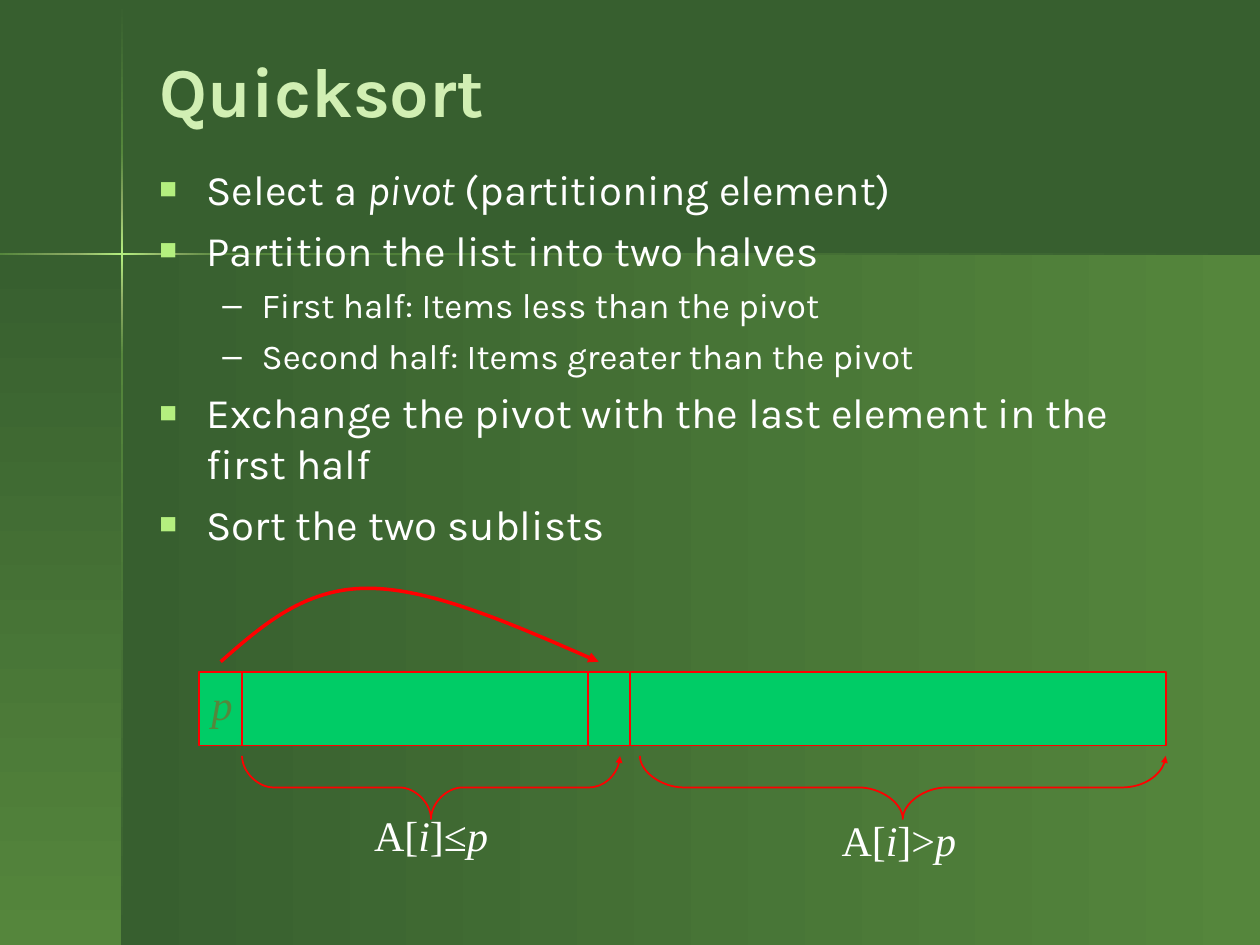
from itertools import pairwise

from lxml.etree import SubElement
from pptx import Presentation
from pptx.dml.color import RGBColor
from pptx.enum.shapes import MSO_CONNECTOR, MSO_SHAPE
from pptx.enum.text import MSO_ANCHOR, MSO_AUTO_SIZE, PP_ALIGN
from pptx.oxml.ns import qn
from pptx.util import Cm, Pt

TITLE = "Quicksort"
BULLETS = [
    (0, "Select a *pivot* (partitioning element)"),
    (0, "Partition the list into two halves"),
    (1, "First half: Items less than the pivot"),
    (1, "Second half: Items greater than the pivot"),
    (0, "Exchange the pivot with the last element in the first half"),
    (0, "Sort the two sublists"),
]
BRACES = [
    (4.88, 12.5, "A[*i*]≤*p*", 8.69, 16.2),
    (12.9, 23.5, "A[*i*]>*p*", 18.12, 16.3),
]
PIVOT = "*p*"

THEME = {
    "sans": "Karla", "serif": "Times New Roman",
    "dark": "375F2F", "mid": "55863C", "glow": "8EAC66", "bright": "B4EF7F",
    "title": "D1EFB3", "text": "FFFFFF", "bar": "00CC66", "line": "FF0000",
    "title_size": 40, "sizes": (24, 20), "label_size": 24,
}
LEVELS = [
    {"char": "■", "color": "bright", "pct": 70, "left": 0.95, "hang": 0.95, "before": 6},
    {"char": "–", "color": "text", "pct": 100, "left": 2.06, "hang": 0.79, "before": 5},
]

WIDTH, HEIGHT = 25.4, 19.05
CROSS_X, CROSS_Y, RAY = 2.46, 5.13, 0.04
RAY_COLORS = [("dark", "mid"), ("mid", "glow"), ("glow", "bright", "glow"),
              ("glow", "mid"), ("mid", "dark")]
RAY_YS = [0.03, 3.07, 4.19, 6.05, 7.16, HEIGHT]
RAY_XS = [0, 1.53, 3.38, 4.5, WIDTH]
BAR = (4.02, 13.55, 19.48, 1.48)
DIVIDERS = [4.88, 11.86, 12.7]
BRACE_TOP, BRACE_DEPTH = 15.24, 1.27
ARC = [(4.45, 13.34), (5.29, 12.6), (6.14, 11.86), (7.41, 11.86),
       (8.68, 11.86), (10.37, 12.6), (12.07, 13.34)]


def rgb(name):
    return RGBColor.from_string(THEME[name])


def write(p, text, font="sans", size=24, color="text", bold=False, align=None):
    p.alignment = align
    for i, part in enumerate(text.split("*")):
        if part:
            r = p.add_run()
            r.text = part
            r.font.name, r.font.size = THEME[font], Pt(size)
            r.font.bold, r.font.italic = bold, i % 2 == 1
            r.font.color.rgb = rgb(color)


def add_bullet(p, char, color, pct, left, hang, before):
    p.space_before = Pt(before)
    pPr = p._p.get_or_add_pPr()
    pPr.set("marL", str(Cm(left)))
    pPr.set("indent", str(-Cm(hang)))
    SubElement(SubElement(pPr, qn("a:buClr")), qn("a:srgbClr"), val=THEME[color])
    SubElement(pPr, qn("a:buSzPct"), val=str(pct * 1000))
    SubElement(pPr, qn("a:buChar"), char=char)


def add_rect(s, x, y, w, h):
    sp = s.shapes.add_shape(MSO_SHAPE.RECTANGLE, Cm(x), Cm(y), Cm(w), Cm(h))
    sp.shadow.inherit = False
    return sp


def add_gradient(s, master, box, colors, angle):
    sp = add_rect(s, *box)
    sp.line.fill.background()
    sp.fill.gradient()
    grad = sp._element.spPr.find(qn("a:gradFill"))
    stops = grad.find(qn("a:gsLst"))
    for gs in list(stops):
        stops.remove(gs)
    for i, name in enumerate(colors):
        gs = SubElement(stops, qn("a:gs"), pos=str(100000 * i // (len(colors) - 1)))
        SubElement(gs, qn("a:srgbClr"), val=THEME[name])
    grad.find(qn("a:lin")).set("ang", str(angle * 60000))
    master.shapes._spTree.append(sp._element)


def add_background(s, master):
    master.background.fill.solid()
    master.background.fill.fore_color.rgb = rgb("dark")
    below = HEIGHT - CROSS_Y
    add_gradient(s, master, (CROSS_X, CROSS_Y, WIDTH - CROSS_X, below), ("dark", "mid"), 0)
    add_gradient(s, master, (0, CROSS_Y, CROSS_X, below), ("dark", "mid"), 90)
    for (a, b), colors in zip(pairwise(RAY_YS), RAY_COLORS):
        add_gradient(s, master, (CROSS_X - RAY / 2, a, RAY, b - a), colors, 90)
    for (a, b), colors in zip(pairwise(RAY_XS), RAY_COLORS[1:]):
        add_gradient(s, master, (a, CROSS_Y - RAY / 2, b - a, RAY), colors, 0)


def add_curve_arrow(s, points, width, head="med"):
    pts = [(Cm(x), Cm(y)) for x, y in points]
    builder = s.shapes.build_freeform(*pts[0])
    builder.add_line_segments(pts[1:], close=False)
    sp = builder.convert_to_shape()
    sp.shadow.inherit = False
    sp.fill.background()
    sp.line.color.rgb, sp.line.width = rgb("line"), Pt(width)
    SubElement(sp._element.spPr.find(qn("a:ln")), qn("a:tailEnd"),
               type="triangle", w=head, len=head)
    outline = next(sp._element.iter(qn("a:path")))
    steps = outline.findall(qn("a:lnTo"))
    for i in range(0, len(steps), 3):
        curve = SubElement(outline, qn("a:cubicBezTo"))
        for step in steps[i:i + 3]:
            curve.append(step[0])
            outline.remove(step)


def brace_points(x0, x1):
    r, c = (x1 - x0) / 12, (x0 + x1) / 2
    top, quarter = BRACE_TOP, BRACE_DEPTH / 4
    mid, tip = top + 2 * quarter, top + 4 * quarter
    left = [(x0, top), (x0, top + quarter), (x0 + r / 2, mid), (x0 + r, mid),
            (x0 + r, mid), (c - r, mid), (c - r, mid),
            (c - r / 2, mid), (c, mid + quarter), (c, tip)]
    return left + [(x0 + x1 - x, y) for x, y in left[-2::-1]]


def add_label(s, text, center, top, width=3.6, color="text"):
    sp = s.shapes.add_textbox(Cm(center - width / 2), Cm(top), Cm(width), Cm(1.27))
    tf = sp.text_frame
    tf.word_wrap = False
    write(tf.paragraphs[0], text, font="serif", size=THEME["label_size"],
          color=color, align=PP_ALIGN.CENTER)


def place(sp, x, y, w, h, anchor):
    sp.left, sp.top, sp.width, sp.height = Cm(x), Cm(y), Cm(w), Cm(h)
    tf = sp.text_frame
    tf.auto_size, tf.vertical_anchor = MSO_AUTO_SIZE.NONE, anchor
    return tf


def add_list_bar(s):
    x, y, w, h = BAR
    sp = add_rect(s, *BAR)
    sp.fill.solid()
    sp.fill.fore_color.rgb = rgb("bar")
    sp.line.color.rgb, sp.line.width = rgb("line"), Pt(1)
    for dx in DIVIDERS:
        cn = s.shapes.add_connector(MSO_CONNECTOR.STRAIGHT, Cm(dx), Cm(y), Cm(dx), Cm(y + h))
        cn.line.color.rgb, cn.line.width = rgb("line"), Pt(1)
        SubElement(cn._element.spPr, qn("a:effectLst"))
    add_label(s, PIVOT, (x + DIVIDERS[0]) / 2 + 0.03, y, width=1.2, color="mid")


def main():
    prs = Presentation()
    prs.slide_width, prs.slide_height = Cm(WIDTH), Cm(HEIGHT)
    s = prs.slides.add_slide(prs.slide_layouts[1])
    add_background(s, prs.slide_master)

    tf = place(s.shapes.title, 2.97, 0.85, 20.96, 1.9, MSO_ANCHOR.MIDDLE)
    write(tf.paragraphs[0], TITLE, size=THEME["title_size"], color="title",
          bold=True, align=PP_ALIGN.LEFT)
    tf = place(s.placeholders[1], 2.96, 3.17, 20.96, 13.76, MSO_ANCHOR.TOP)
    for i, (level, text) in enumerate(BULLETS):
        p = tf.add_paragraph() if i else tf.paragraphs[0]
        p.level = level
        add_bullet(p, **LEVELS[level])
        write(p, text, size=THEME["sizes"][level])

    add_list_bar(s)
    for x0, x1, text, center, top in BRACES:
        add_curve_arrow(s, brace_points(x0, x1), 1, head="sm")
        add_label(s, text, center, top)
    add_curve_arrow(s, ARC, 2)
    prs.save("out.pptx")


if __name__ == "__main__":
    main()
